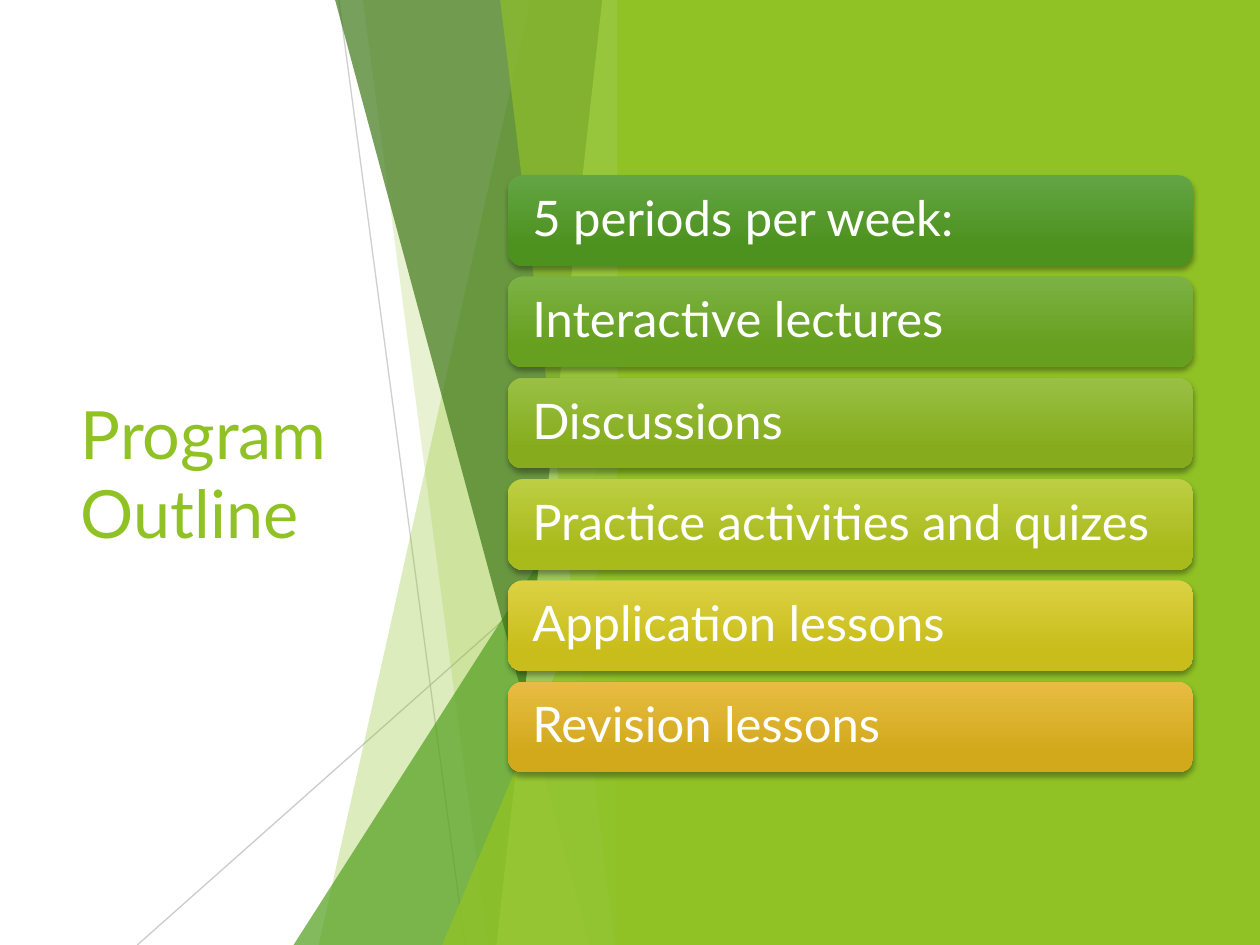
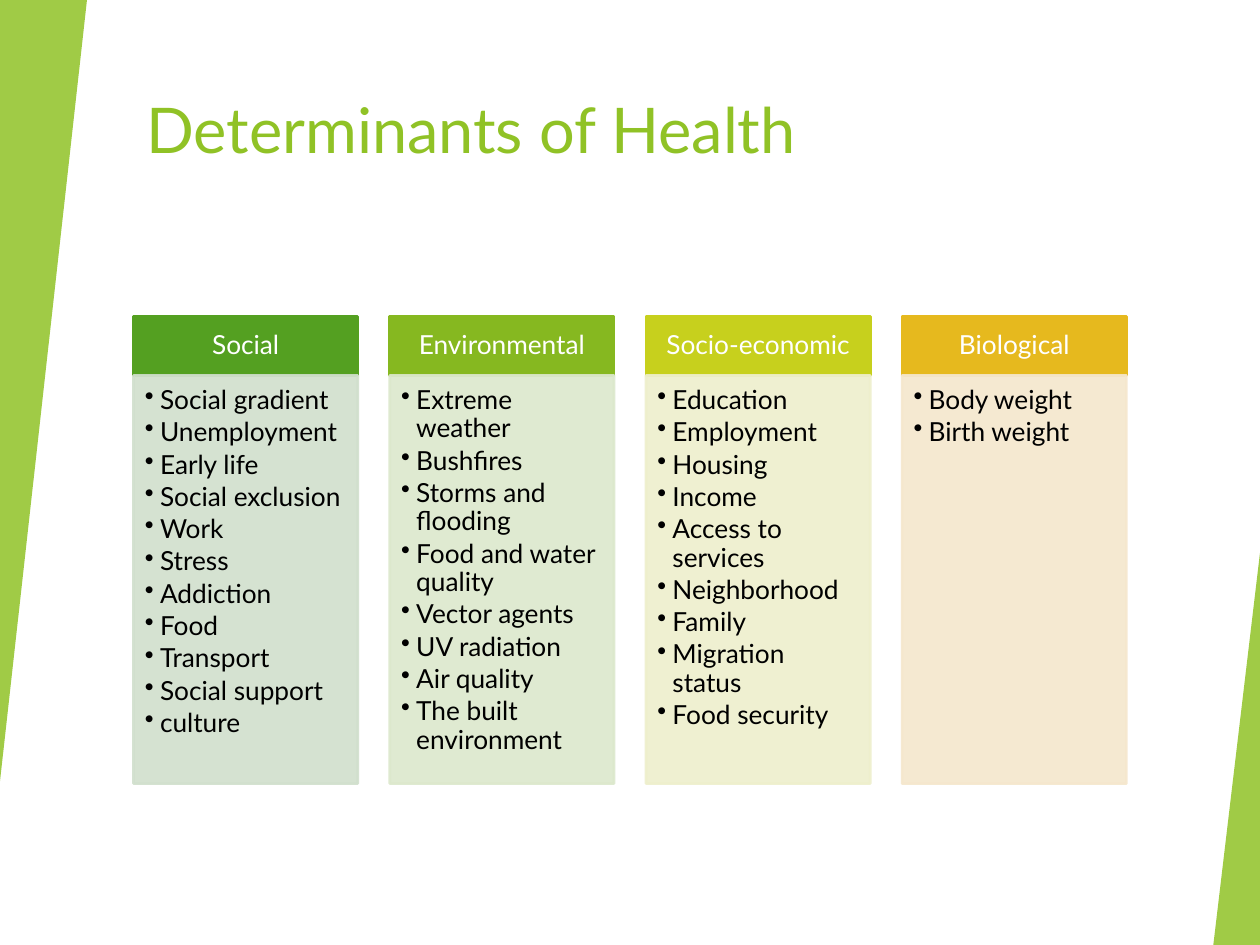
from dataclasses import dataclass
from typing import NamedTuple

from lxml import etree
from pptx import Presentation
from pptx.dml.color import RGBColor
from pptx.enum.shapes import MSO_CONNECTOR, MSO_SHAPE
from pptx.enum.text import MSO_ANCHOR, MSO_AUTO_SIZE, PP_ALIGN
from pptx.oxml.ns import qn
from pptx.util import Inches, Pt

RECTANGLE = MSO_SHAPE.RECTANGLE
ROUNDED = MSO_SHAPE.ROUNDED_RECTANGLE
TRIANGLE = MSO_SHAPE.ISOSCELES_TRIANGLE
STRAIGHT = MSO_CONNECTOR.STRAIGHT
TOP, MIDDLE = MSO_ANCHOR.TOP, MSO_ANCHOR.MIDDLE
LEFT, CENTER = PP_ALIGN.LEFT, PP_ALIGN.CENTER
NO_AUTOFIT = MSO_AUTO_SIZE.NONE
TITLE_ONLY = 5


@dataclass(frozen=True)
class Theme:
    """Colours, font and type sizes shared by the slides."""
    font: str = "Lato"
    lime: str = "90C226"
    green: str = "54A021"
    forest: str = "3F7819"
    pale_lime: str = "C0E474"
    hairline: str = "BFBFBF"
    white: str = "FFFFFF"
    black: str = "000000"
    outline_title: int = 38
    title: int = 36
    bar: int = 28
    column: int = 15
    line_spacing: float = 0.9


class Box(NamedTuple):
    """A region in inches."""
    left: float
    top: float
    width: float
    height: float

    def lengths(self):
        """Return the four measures as lengths."""
        return [Inches(value) for value in self]


THEME = Theme()

BARS = [
    ("5 periods per week:", "63A545", "4D921E"),
    ("Interactive lectures", "7BB244", "679F1E"),
    ("Discussions", "99C044", "86AC1D"),
    ("Practice activities and quizes", "BDCE43", "A9BA1B"),
    ("Application lessons", "DCD143", "C8BD1A"),
    ("Revision lessons", "E7BC43", "D2A91B"),
]

COLUMNS = [
    ("Social", "54A021", "D1DFCD", [
        "Social gradient", "Unemployment", "Early life", "Social exclusion", "Work", "Stress",
        "Addiction", "Food", "Transport", "Social support", "culture"]),
    ("Environmental", "86B820", "DCE8CC", [
        "Extreme weather", "Bushfires", "Storms and flooding", "Food and water quality",
        "Vector agents", "UV radiation", "Air quality", "The built environment"]),
    ("Socio-economic", "C7D01D", "EEEFCC", [
        "Education", "Employment", "Housing", "Income", "Access to services", "Neighborhood",
        "Family", "Migration status", "Food security"]),
    ("Biological", "E6B91E", "F5E7CD", ["Body weight", "Birth weight"]),
]


def rgb(color):
    """Turn a hex string into a colour."""
    return RGBColor.from_string(color)


def set_opacity(shape, percent):
    """Make every plain colour of the shape partly transparent."""
    for color in shape._element.spPr.iter(qn("a:srgbClr")):
        etree.SubElement(color, qn("a:alpha"), val=str(percent * 1000))


def paint(shape, color, opacity=100, outline=None):
    """Give a shape a flat fill, an optional outline and no shadow."""
    shape.shadow.inherit = False
    shape.fill.solid()
    shape.fill.fore_color.rgb = rgb(color)
    if outline:
        shape.line.color.rgb = rgb(color)
        shape.line.width = Pt(outline)
    else:
        shape.line.fill.background()
    if opacity < 100:
        set_opacity(shape, opacity)
    return shape


def add_panel(slide, box, color, kind=RECTANGLE, **finish):
    """Add a painted preset shape."""
    return paint(slide.shapes.add_shape(kind, *box.lengths()), color, **finish)


def add_right_triangle(slide, box, color, opacity, rotation=0):
    """Add a triangle whose apex is at the right end of its box."""
    shape = add_panel(slide, box, color, TRIANGLE, opacity=opacity)
    shape.adjustments[0] = 1
    shape.rotation = rotation


def add_facet(slide, points, color, opacity):
    """Add a translucent polygon through the given points."""
    start, *rest = [(Inches(x), Inches(y)) for x, y in points]
    builder = slide.shapes.build_freeform(*start)
    builder.add_line_segments(rest, close=True)
    paint(builder.convert_to_shape(), color, opacity)


def add_hairline(slide, start, end, opacity):
    """Add a thin translucent line."""
    ends = [Inches(value) for value in (*start, *end)]
    connector = slide.shapes.add_connector(STRAIGHT, *ends)
    connector.line.color.rgb = rgb(THEME.hairline)
    connector.line.width = Pt(0.75)
    set_opacity(connector, opacity)
    etree.SubElement(connector._element.spPr, qn("a:effectLst"))


def set_frame(shape, anchor, insets):
    """Set wrapping, anchor and left, top, right, bottom insets."""
    frame = shape.text_frame
    frame.word_wrap = True
    frame.auto_size = NO_AUTOFIT
    frame.vertical_anchor = anchor
    (frame.margin_left, frame.margin_top,
     frame.margin_right, frame.margin_bottom) = [Inches(inset) for inset in insets]
    return frame


def write(paragraph, text, size, color, align=LEFT):
    """Add one formatted run to a paragraph."""
    paragraph.alignment = align
    run = paragraph.add_run()
    run.text = text
    run.font.name = THEME.font
    run.font.size = Pt(size)
    run.font.color.rgb = rgb(color)


def add_titled_slide(presentation, title, box, size, anchor):
    """Add a slide with its title placed in the box."""
    slide = presentation.slides.add_slide(presentation.slide_layouts[TITLE_ONLY])
    shape = slide.shapes.title
    shape.left, shape.top, shape.width, shape.height = box.lengths()
    frame = set_frame(shape, anchor, (0.1, 0.05, 0.1, 0.05))
    write(frame.paragraphs[0], title, size, THEME.lime)
    return slide


def add_facets(slide, box):
    """Layer the lines and facets that lead into the green panel."""
    left, top, right, bottom = box.left, box.top, box.left + box.width, box.top + box.height

    def facet(upper, lower, color, opacity):
        """Add a facet from its slanted edge to the right side of the box."""
        points = [(left + upper, top), (right, top), (right, bottom), (left + lower, bottom)]
        add_facet(slide, points, color, opacity)

    def corner(width, height, color, opacity):
        """Add a triangle in the lower right corner of the box."""
        corner_box = Box(right - width, bottom - height, width, height)
        add_right_triangle(slide, corner_box, color, opacity)

    add_hairline(slide, (left + 1.6, top), (left + 2.6, bottom), 75)
    add_hairline(slide, (right, top + 4.03), (left, bottom), 80)
    facet(3.12, 1.44, THEME.lime, 30)
    facet(1.79, 2.78, THEME.lime, 20)
    corner(2.67, 4.17, THEME.green, 72)
    facet(1.57, 3.59, THEME.forest, 70)
    facet(3.69, 2.85, THEME.pale_lime, 70)
    facet(2.88, 3.79, THEME.lime, 65)
    corner(1.49, 3.57, THEME.lime, 80)


def add_bar(slide, box, text, light, dark):
    """Add a rounded gradient bar with a soft shadow and a label."""
    bar = add_panel(slide, box, dark, ROUNDED)
    bar.fill.gradient()
    bar.fill.gradient_angle = 270
    for stop, position, color in zip(bar.fill.gradient_stops, (0, 0.78), (light, dark)):
        stop.position = position
        stop.color.rgb = rgb(color)
    effects = bar._element.spPr.find(qn("a:effectLst"))
    shadow = etree.SubElement(effects, qn("a:outerShdw"), blurRad=str(Pt(3)), dist=str(Pt(2)),
                              dir="5400000", rotWithShape="0")
    color = etree.SubElement(shadow, qn("a:srgbClr"), val=THEME.black)
    etree.SubElement(color, qn("a:alpha"), val="35000")
    paragraph = set_frame(bar, MIDDLE, (0.16, 0.12, 0.16, 0.12)).paragraphs[0]
    paragraph.line_spacing = THEME.line_spacing
    write(paragraph, text, THEME.bar, THEME.white)


def add_bars(slide, box, bar_height=0.72):
    """Stack the outline bars evenly down the box."""
    pitch = (box.height - bar_height) / (len(BARS) - 1)
    for index, bar in enumerate(BARS):
        add_bar(slide, Box(box.left, box.top + index * pitch, box.width, bar_height), *bar)


def write_bullets(frame, items):
    """Write one bulleted paragraph for each item."""
    for index, item in enumerate(items):
        paragraph = frame.add_paragraph() if index else frame.paragraphs[0]
        paragraph.line_spacing = THEME.line_spacing
        paragraph.space_after = Pt(THEME.column * 0.15)
        properties = paragraph._p.get_or_add_pPr()
        properties.set("marL", str(Inches(0.12)))
        properties.set("indent", str(Inches(-0.12)))
        etree.SubElement(properties, qn("a:buChar"), char="•")
        write(paragraph, item, THEME.column, THEME.black)


def add_column(slide, box, heading, color, tint, items, header_height=0.47):
    """Add a heading block above a tinted bullet list."""
    header = add_panel(slide, box._replace(height=header_height), color, outline=1.5)
    paragraph = set_frame(header, MIDDLE, (0.12, 0.07, 0.12, 0.07)).paragraphs[0]
    paragraph.line_spacing = THEME.line_spacing
    write(paragraph, heading, THEME.column, THEME.white, CENTER)
    body_box = box._replace(top=box.top + header_height, height=box.height - header_height)
    body = add_panel(slide, body_box, tint, opacity=90, outline=1.5)
    write_bullets(set_frame(body, TOP, (0.09, 0.09, 0.12, 0.13)), items)


def add_columns(slide, box, column_width=1.78):
    """Spread the determinant columns evenly across the box."""
    pitch = (box.width - column_width) / (len(COLUMNS) - 1)
    for index, column in enumerate(COLUMNS):
        column_box = box._replace(left=box.left + index * pitch, width=column_width)
        add_column(slide, column_box, *column)


def build_outline(presentation):
    """Build the program outline slide."""
    slide = add_titled_slide(presentation, "Program Outline", Box(0.54, 1.51, 2.91, 4.48),
                             THEME.outline_title, MIDDLE)
    add_facets(slide, Box(1.09, 0, 3.91, 7.5))
    add_panel(slide, Box(4.9, 0, 5.1, 7.5), THEME.lime)
    add_bars(slide, Box(4.03, 1.39, 5.44, 4.74))


def build_determinants(presentation):
    """Build the determinants of health slide."""
    slide = add_titled_slide(presentation, "Determinants of Health", Box(1.06, 0.67, 8.36, 1.2),
                             THEME.title, TOP)
    add_right_triangle(slide, Box(0, 0, 0.69, 6.2), THEME.lime, 85, rotation=180)
    add_right_triangle(slide, Box(9.63, 4.39, 0.37, 3.11), THEME.lime, 85)
    add_columns(slide, Box(1.06, 2.51, 7.88, 3.71))


def main():
    """Build and save the presentation."""
    presentation = Presentation()
    presentation.slide_width, presentation.slide_height = Inches(10), Inches(7.5)
    build_outline(presentation)
    build_determinants(presentation)
    presentation.save("out.pptx")


if __name__ == "__main__":
    main()
